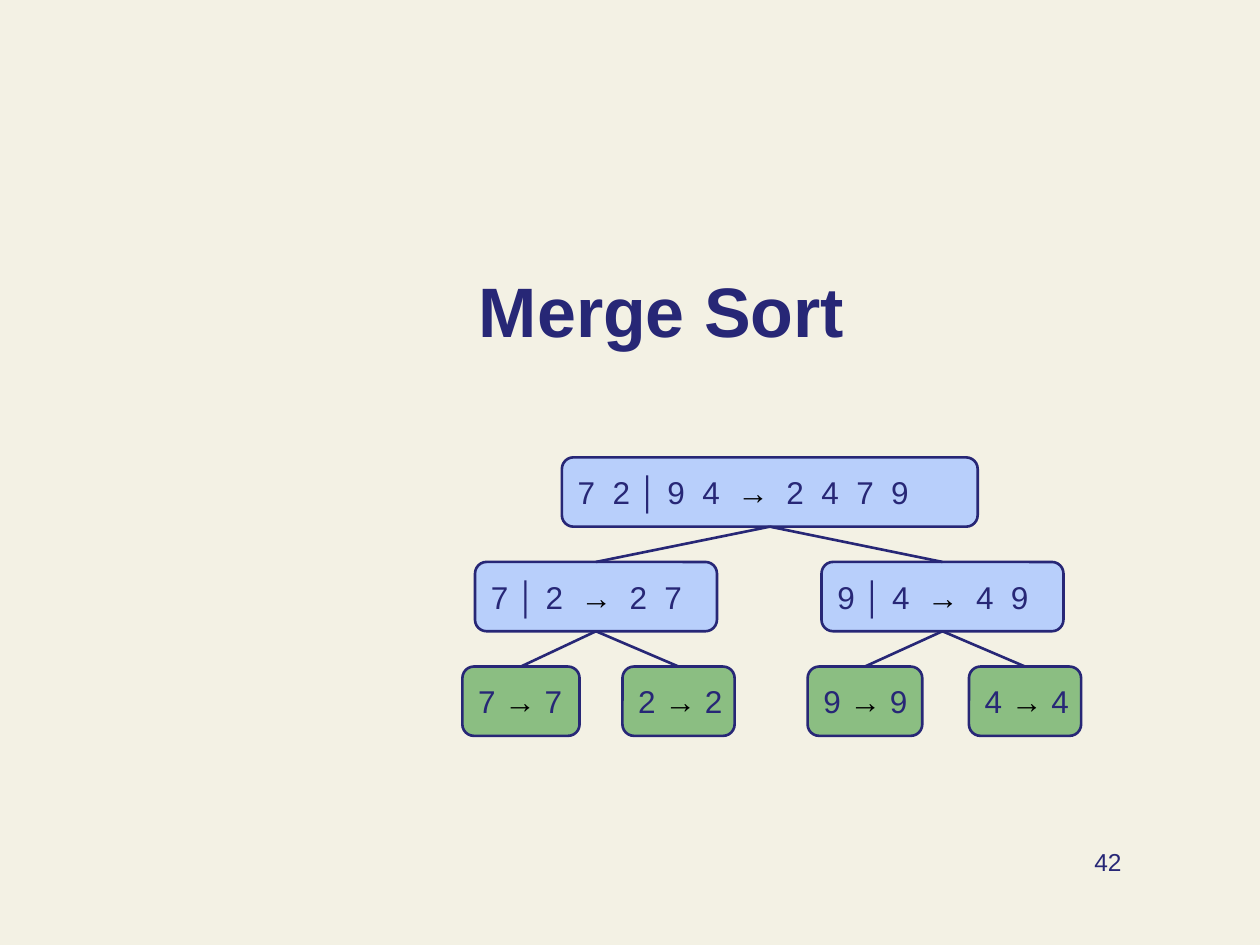
from itertools import groupby

from lxml import etree
from pptx import Presentation
from pptx.dml.color import RGBColor
from pptx.enum.shapes import MSO_CONNECTOR, MSO_SHAPE
from pptx.enum.text import MSO_ANCHOR, PP_ALIGN
from pptx.oxml.ns import qn
from pptx.util import Inches, Pt

ROUNDED = MSO_SHAPE.ROUNDED_RECTANGLE
STRAIGHT = MSO_CONNECTOR.STRAIGHT
MIDDLE = MSO_ANCHOR.MIDDLE
LEFT, CENTER, RIGHT = PP_ALIGN.LEFT, PP_ALIGN.CENTER, PP_ALIGN.RIGHT
TOP_SITE, BOTTOM_SITE = 0, 2

# Content: "_" stands for a double-width gap between numbers
TITLE = "Merge Sort"
PAGE_NUMBER = "42"
# Tree in level order: formula, left, width
NODES = [
    ("7_2 │ 9_4_→_2_4_7_9", 4.46, 3.3),
    ("7 │ 2_→_2_7", 3.77, 1.92),
    ("9 │ 4_→_4_9", 6.52, 1.92),
    ("7 → 7", 3.67, 0.93),
    ("2 → 2", 4.94, 0.89),
    ("9 → 9", 6.41, 0.91),
    ("4 → 4", 7.69, 0.89),
]
TREE_TOP, LEVEL_STEP, NODE_HEIGHT = 3.63, 0.83, 0.55

THEME = {
    "font": "Arial",
    "background": RGBColor.from_string("F3F1E4"),
    "ink": RGBColor.from_string("272776"),
    "arrow": RGBColor.from_string("000000"),
    "levels": [RGBColor.from_string(c) for c in ("B8CFFB", "B8CFFB", "8BBE82")],
    "line": Pt(1.5),
    "title": Pt(40),
    "node": Pt(18),
    "number": Pt(14),
    "gap_spacing": "500",
}


def add_span(para, text, size, bold=False, color=THEME["ink"]):
    span = para.add_run()
    span.text = text
    values = {"name": THEME["font"], "size": size, "bold": bold}
    for name, value in values.items():
        setattr(span.font, name, value)
    span.font.color.rgb = color
    return span


def add_formula(para, formula):
    for mark, group in groupby(formula, lambda c: c if c in "_│→" else ""):
        text = "".join(group).replace("_", " ")
        color = THEME["arrow"] if mark == "→" else THEME["ink"]
        span = add_span(para, text, THEME["node"], mark in ("│", "→"), color)
        if mark == "_":
            span.font.size = THEME["node"]
            span._r.get_or_add_rPr().set("spc", THEME["gap_spacing"])


def add_node(page, index, formula, left, width):
    level = (index + 1).bit_length() - 1
    box = page.shapes.add_shape(
        ROUNDED, Inches(left), Inches(TREE_TOP + level * LEVEL_STEP),
        Inches(width), Inches(NODE_HEIGHT))
    box.shadow.inherit = False
    box.fill.solid()
    box.fill.fore_color.rgb = THEME["levels"][level]
    box.line.color.rgb = THEME["ink"]
    box.line.width = THEME["line"]
    frame = box.text_frame
    frame.word_wrap = False
    frame.vertical_anchor = MIDDLE
    frame.paragraphs[0].alignment = LEFT
    add_formula(frame.paragraphs[0], formula)
    return box


def add_branch(page, parent, child):
    branch = page.shapes.add_connector(STRAIGHT, 0, 0, 0, 0)
    branch.begin_connect(parent, BOTTOM_SITE)
    branch.end_connect(child, TOP_SITE)
    branch.line.color.rgb = THEME["ink"]
    branch.line.width = THEME["line"]
    etree.SubElement(branch._element.spPr, qn("a:effectLst"))


def main():
    deck = Presentation()
    deck.slide_width, deck.slide_height = Inches(10), Inches(7.5)
    page = deck.slides.add_slide(deck.slide_layouts[5])
    page.background.fill.solid()
    page.background.fill.fore_color.rgb = THEME["background"]

    # Title
    title = page.shapes.title
    title.left, title.top = Inches(1), Inches(1.83)
    title.width, title.height = Inches(8.5), Inches(1.25)
    title.text_frame.vertical_anchor = MIDDLE
    para = title.text_frame.paragraphs[0]
    para.alignment = CENTER
    add_span(para, TITLE, THEME["title"], bold=True)

    # Page number
    number = page.shapes.add_textbox(
        Inches(7.17), Inches(6.67), Inches(1.83), Inches(0.5))
    number.text_frame.word_wrap = True
    para = number.text_frame.paragraphs[0]
    para.alignment = RIGHT
    add_span(para, PAGE_NUMBER, THEME["number"])

    # Merge tree: the parent of node i is node (i - 1) // 2
    boxes = [add_node(page, i, *node) for i, node in enumerate(NODES)]
    for index, child in enumerate(boxes[1:], start=1):
        add_branch(page, boxes[(index - 1) // 2], child)

    deck.save("out.pptx")


if __name__ == "__main__":
    main()
